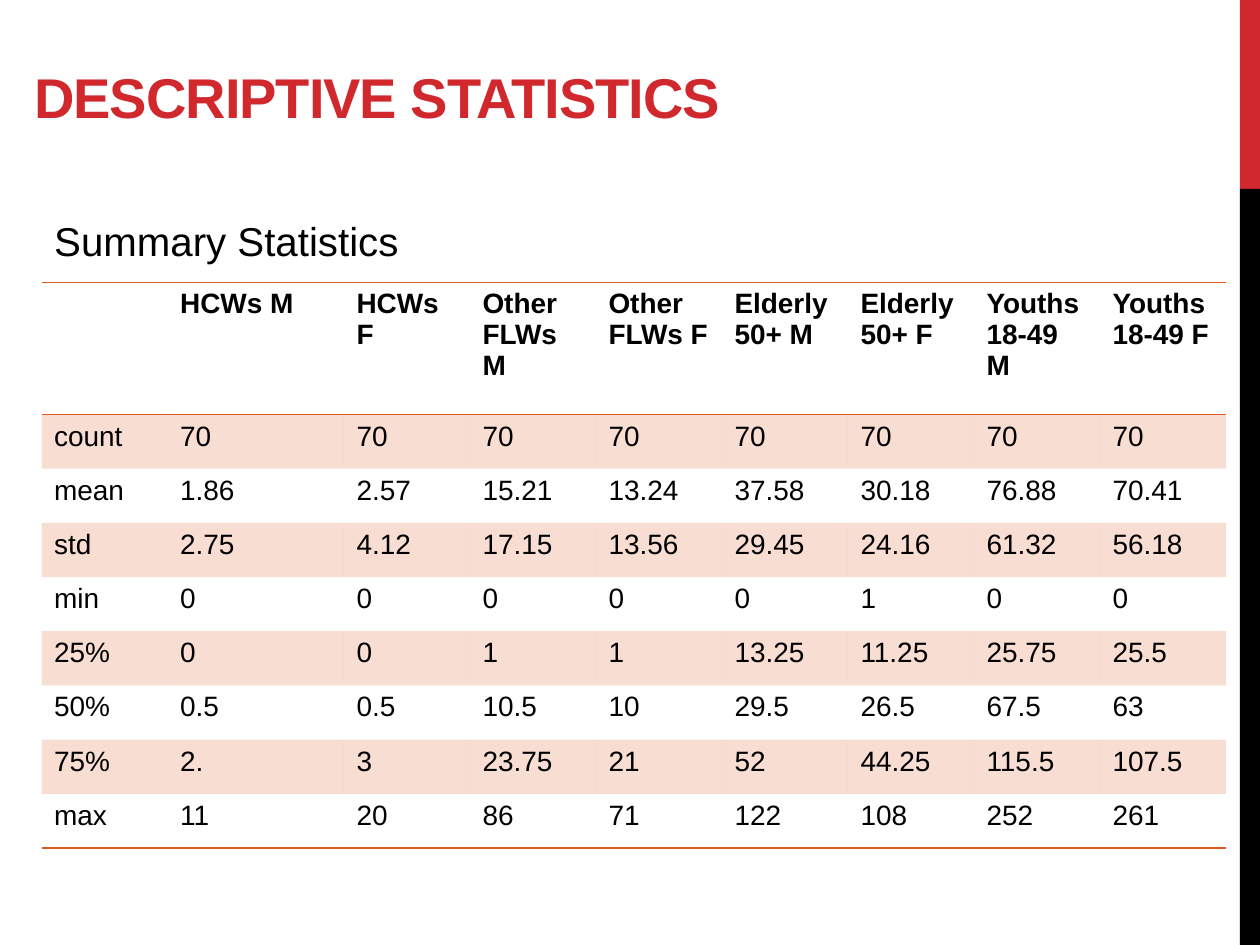
from lxml import etree
from pptx import Presentation
from pptx.dml.color import RGBColor
from pptx.enum import shapes, text
from pptx.oxml import ns
from pptx.util import Inches, Pt

RED = RGBColor(0xD1, 0x28, 0x2E)
ORANGE = RGBColor(0xDC, 0x59, 0x24)
BLACK = RGBColor(0, 0, 0)
NO_GRID_STYLE = "{2D5ABB26-0587-4C30-8999-92F81FD0307C}"


def add_child(parent, tag, **attributes):
    return etree.SubElement(parent, ns.qn(tag), attributes)


class StatisticsSlide:
    font = "Arial"

    def __init__(self, presentation):
        self.slide = presentation.slides.add_slide(presentation.slide_layouts[1])

    def style(self, paragraph, size, color=BLACK, bold=False):
        paragraph.alignment = text.PP_ALIGN.JUSTIFY
        for run in paragraph.runs:
            run.font.name = self.font
            run.font.size = Pt(size)
            run.font.bold = bold
            run.font.color.rgb = color

    def placeholder(self, index, box, content, anchor, size, color=BLACK, bold=False):
        shape = self.slide.placeholders[index]
        shape.left, shape.top, shape.width, shape.height = map(Inches, box)
        frame = shape.text_frame
        frame.text = content
        frame.auto_size = text.MSO_AUTO_SIZE.NONE
        frame.vertical_anchor = anchor
        self.style(frame.paragraphs[0], size, color, bold)
        return frame.paragraphs[0]

    def title(self, box, content):
        paragraph = self.placeholder(0, box, content, text.MSO_ANCHOR.BOTTOM, 32, RED, True)
        paragraph.runs[0].font._element.set("spc", "-60")

    def body(self, box, content):
        paragraph = self.placeholder(1, box, content, text.MSO_ANCHOR.TOP, 23)
        paragraph.space_before = Pt(4.6)
        paragraph.space_after = Pt(6)
        properties = paragraph._p.get_or_add_pPr()
        properties.set("marL", str(Inches(0.5)))
        properties.set("indent", str(Inches(-0.5)))
        add_child(properties, "a:buNone")

    def bar(self, box, color):
        shape = self.slide.shapes.add_shape(shapes.MSO_SHAPE.RECTANGLE, *map(Inches, box))
        shape.shadow.inherit = False
        shape.fill.solid()
        shape.fill.fore_color.rgb = color
        shape.line.fill.background()

    def border(self, cell, side):
        line = add_child(cell._tc.get_or_add_tcPr(), f"a:ln{side}", w=str(Pt(1)))
        add_child(add_child(line, "a:solidFill"), "a:srgbClr", val=str(ORANGE))

    def tint(self, cell):
        cell.fill.solid()
        cell.fill.fore_color.rgb = ORANGE
        color = cell._tc.tcPr.find(".//" + ns.qn("a:solidFill") + "/" + ns.qn("a:srgbClr"))
        add_child(color, "a:alpha", val="20000")

    def table(self, box, widths, heights, rows):
        table = self.slide.shapes.add_table(len(rows), len(widths), *map(Inches, box)).table
        table._tbl.tblPr.find(ns.qn("a:tableStyleId")).text = NO_GRID_STYLE
        for column, width in zip(table.columns, widths):
            column.width = Inches(width)
        for row, height in zip(table.rows, heights):
            row.height = Inches(height)
        borders = {0: "TB", len(rows) - 1: "B"}
        for row_index, values in enumerate(rows):
            for column_index, value in enumerate(values):
                cell = table.cell(row_index, column_index)
                cell.text = value
                for paragraph in cell.text_frame.paragraphs:
                    self.style(paragraph, 16, bold=row_index == 0)
                for side in borders.get(row_index, ""):
                    self.border(cell, side)
                if row_index % 2:
                    self.tint(cell)
                else:
                    cell.fill.background()


HEADER = ["", "HCWs M", "HCWs\nF", "Other FLWs M", "Other FLWs F",
          "Elderly 50+ M", "Elderly 50+ F", "Youths 18-49 M", "Youths 18-49 F"]
STATISTICS = [line.split() for line in (
    "count 70 70 70 70 70 70 70 70",
    "mean 1.86 2.57 15.21 13.24 37.58 30.18 76.88 70.41",
    "std 2.75 4.12 17.15 13.56 29.45 24.16 61.32 56.18",
    "min 0 0 0 0 0 1 0 0",
    "25% 0 0 1 1 13.25 11.25 25.75 25.5",
    "50% 0.5 0.5 10.5 10 29.5 26.5 67.5 63",
    "75% 2. 3 23.75 21 52 44.25 115.5 107.5",
    "max 11 20 86 71 122 108 252 261",
)]

presentation = Presentation()
presentation.slide_width = Inches(10)
presentation.slide_height = Inches(7.5)
slide = StatisticsSlide(presentation)

# Side bars
slide.bar((9.84, 0, 0.16, 1.5), RED)
slide.bar((9.84, 1.5, 0.16, 6), BLACK)

# Title and caption
slide.title((0.17, 0.33, 9, 0.75), "DESCRIPTIVE STATISTICS")
slide.body((0.33, 1.67, 9.5, 5.58), "Summary Statistics")

# Summary table
slide.table((0.33, 2.24, 9.4, 4.47), [1, 1.4] + [1] * 7,
            [1.05] + [0.43] * len(STATISTICS), [HEADER] + STATISTICS)

presentation.save("out.pptx")
